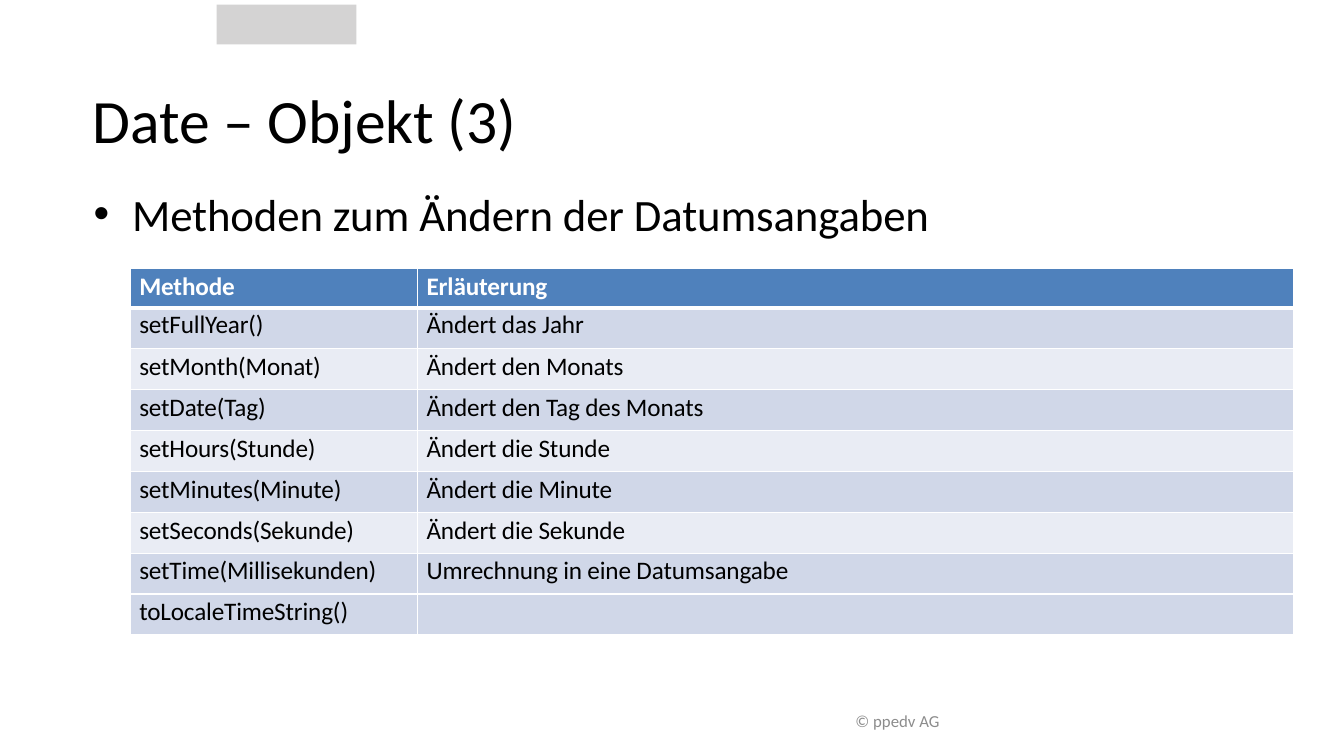
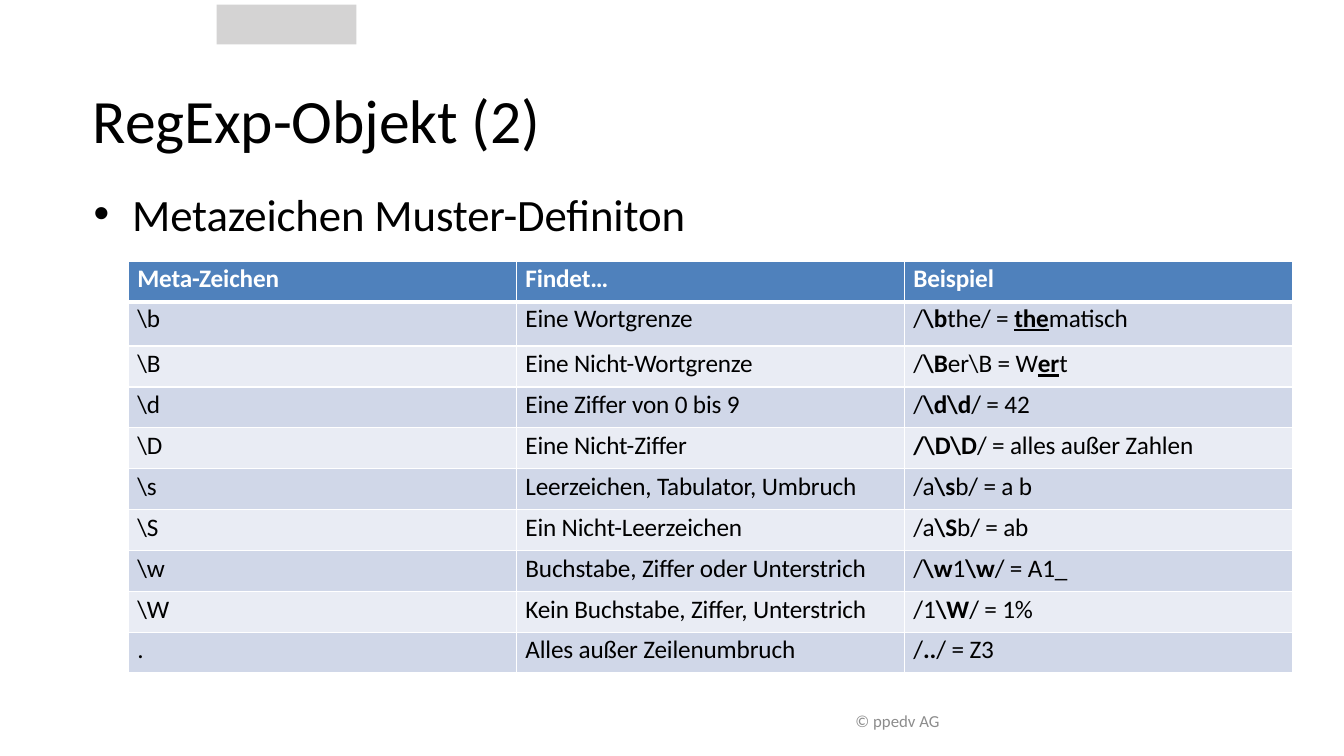
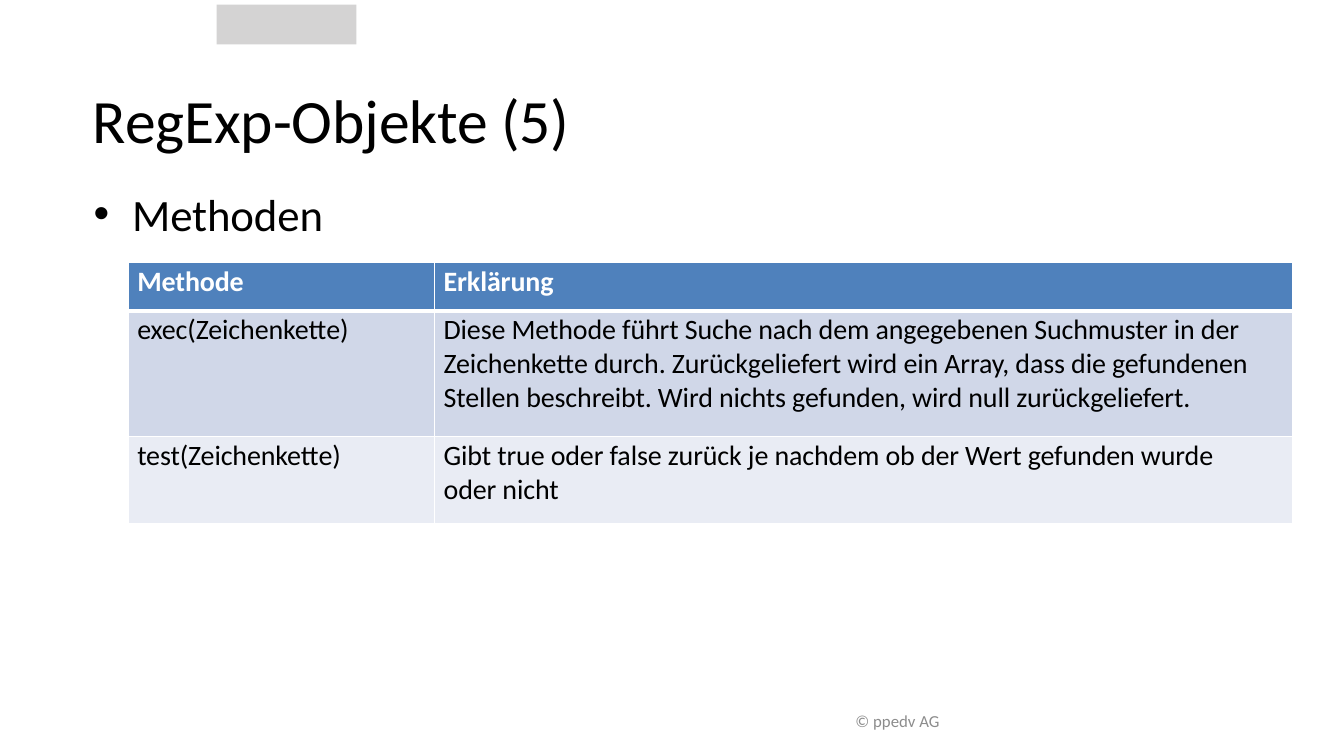
from lxml import etree
from pptx import Presentation
from pptx.dml.color import RGBColor
from pptx.enum.shapes import MSO_SHAPE
from pptx.enum.text import MSO_ANCHOR, PP_ALIGN
from pptx.oxml.ns import qn
from pptx.util import Cm, Pt

RECT = MSO_SHAPE.RECTANGLE
MIDDLE = MSO_ANCHOR.MIDDLE
LEFT, RIGHT = PP_ALIGN.LEFT, PP_ALIGN.RIGHT

FONT = "Calibri"
BLACK, WHITE, GREY, BAND = "000000", "FFFFFF", "8C8C8C", "D4D3D3"
HEAD, DARK, LIGHT = "4F81BC", "D0D7E8", "E9ECF4"
MARGIN = 2.34


def rgb(color):
    return RGBColor.from_string(color)


def write(tf, text, size=18, color=BLACK, bold=False, align=LEFT, bullet=None, spacing=-10):
    """Parts between asterisks are bold; a leading tilde also underlines them."""
    for i, line in enumerate(text.split("\n")):
        p = tf.add_paragraph() if i else tf.paragraphs[0]
        if bullet:
            pPr = p._p.get_or_add_pPr()
            pPr.set("marL", str(Cm(0.99)))
            pPr.set("indent", str(Cm(-0.97)))
            etree.SubElement(pPr, qn("a:buFont")).set("typeface", "Arial")
            etree.SubElement(pPr, qn("a:buChar")).set("char", bullet)
        p.alignment = align
        for j, part in enumerate(line.split("*")):
            if not part:
                continue
            r = p.add_run()
            r.text = part.lstrip("~")
            r.font.name = FONT
            r.font.size = Pt(size)
            r.font.bold = bold or j % 2 == 1
            r.font.color.rgb = rgb(color)
            if part.startswith("~"):
                r.font.underline = True
            if spacing:
                r.font._element.set("spc", str(spacing))


def no_margins(box):
    box.margin_left = box.margin_top = box.margin_right = box.margin_bottom = 0


def border(cell, side, width):
    ln = etree.SubElement(cell._tc.get_or_add_tcPr(), qn("a:ln" + side))
    ln.set("w", str(Pt(width)))
    fill = etree.SubElement(ln, qn("a:solidFill"))
    etree.SubElement(fill, qn("a:srgbClr")).set("val", WHITE)


class Deck:
    def __init__(self):
        self.prs = Presentation()
        self.prs.slide_width = Cm(33.87)
        self.prs.slide_height = Cm(19.05)
        self.s = None

    def slide(self, title, topic, topic_width):
        self.s = self.prs.slides.add_slide(self.prs.slide_layouts[5])
        self.band()
        self.title(title)
        self.topic(topic, topic_width)
        self.footer("© ppedv AG")

    def band(self):
        sp = self.s.shapes.add_shape(RECT, Cm(5.46), Cm(0.12), Cm(3.52), Cm(1))
        sp.shadow.inherit = False
        sp.fill.solid()
        sp.fill.fore_color.rgb = rgb(BAND)
        sp.line.fill.background()

    def title(self, text):
        sp = self.s.shapes.title
        sp.left, sp.top, sp.width, sp.height = Cm(MARGIN), Cm(1.27), Cm(29.21), Cm(3.43)
        tf = sp.text_frame
        no_margins(tf)
        tf.vertical_anchor = MIDDLE
        write(tf, text, size=44)

    def text_box(self, top, width, height):
        tf = self.s.shapes.add_textbox(Cm(MARGIN), Cm(top), Cm(width), Cm(height)).text_frame
        tf.word_wrap = True
        return tf

    def topic(self, text, width):
        tf = self.text_box(4.7, width, 1.45)
        no_margins(tf)
        write(tf, text, size=32, bullet="•")

    def footer(self, text):
        tf = self.text_box(17.66, 21.59, 1.01)
        tf.vertical_anchor = MIDDLE
        write(tf, text, size=12, color=GREY, align=RIGHT, spacing=0)

    def table(self, left, top, widths, heights, rows, size=18, fills=None):
        fills = fills or [HEAD] + [(LIGHT, DARK)[i % 2] for i in range(1, len(rows))]
        table = self.s.shapes.add_table(
            len(rows), len(widths), Cm(left), Cm(top), Cm(sum(widths)), Cm(sum(heights))
        ).table
        table.first_row = table.horz_banding = False
        for column, width in zip(table.columns, widths):
            column.width = Cm(width)
        for i, (row, texts) in enumerate(zip(table.rows, rows)):
            row.height = Cm(heights[i])
            for cell, text in zip(row.cells, texts):
                no_margins(cell)
                cell.margin_left = Cm(0.23)
                cell.margin_top = Cm(0.03 if i == 1 else 0.07)
                for side, width in (("L", 1), ("R", 1), ("T", 3 if i == 1 else 1), ("B", 1 if i else 3)):
                    border(cell, side, width)
                cell.fill.solid()
                cell.fill.fore_color.rgb = rgb(fills[i])
                write(cell.text_frame, text, size=size, color=BLACK if i else WHITE, bold=i == 0)


DATE_METHODS = [
    ("Methode", "Erläuterung"),
    ("setFullYear()", "Ändert das Jahr"),
    ("setMonth(Monat)", "Ändert den Monats"),
    ("setDate(Tag)", "Ändert den Tag des Monats"),
    ("setHours(Stunde)", "Ändert die Stunde"),
    ("setMinutes(Minute)", "Ändert die Minute"),
    ("setSeconds(Sekunde)", "Ändert die Sekunde"),
    ("setTime(Millisekunden)", "Umrechnung in eine Datumsangabe"),
    ("toLocaleTimeString()", ""),
]

META_CHARACTERS = [
    ("Meta-Zeichen", "Findet…", "Beispiel"),
    (r"\b", "Eine Wortgrenze", r"/*\b*the/ = *~the*matisch"),
    (r"\B", "Eine Nicht-Wortgrenze", r"/*\B*er\B = W*~er*t"),
    (r"\d", "Eine Ziffer von 0 bis 9", r"/*\d\d*/ = 42"),
    (r"\D", "Eine Nicht-Ziffer", r"*/\D\D*/ = alles außer Zahlen"),
    (r"\s", "Leerzeichen, Tabulator, Umbruch", r"/a*\s*b/ = a b"),
    (r"\S", "Ein Nicht-Leerzeichen", r"/a*\S*b/ = ab"),
    (r"\w", "Buchstabe, Ziffer oder Unterstrich", r"/*\w*1*\w*/ = A1_"),
    (r"\W", "Kein Buchstabe, Ziffer, Unterstrich", r"/1*\W*/ = 1%"),
    (".", "Alles außer Zeilenumbruch", "/*..*/ = Z3"),
]

REGEXP_METHODS = [
    ("Methode", "Erklärung"),
    (
        "exec(Zeichenkette)",
        "Diese Methode führt Suche nach dem angegebenen Suchmuster in der "
        "Zeichenkette durch. Zurückgeliefert wird ein Array, dass die gefundenen "
        "Stellen beschreibt. Wird nichts gefunden, wird null zurückgeliefert.",
    ),
    (
        "test(Zeichenkette)",
        "Gibt true oder false zurück je nachdem ob der Wert gefunden wurde\noder nicht",
    ),
]


def main():
    deck = Deck()

    deck.slide("Date – Objekt (3)", "Methoden zum Ändern der Datumsangaben", 21.5)
    date_fills = [HEAD] + [DARK, LIGHT] * 3 + [DARK] * 2
    deck.table(3.28, 6.76, [7.24, 22.07], [1] + [1.03] * 8, DATE_METHODS, fills=date_fills)

    deck.slide("RegExp-Objekt (2)", "Metazeichen Muster-Definiton", 15.3)
    deck.table(3.23, 6.58, [9.78] * 3, [1.03, 1.11] + [1.03] * 8, META_CHARACTERS)

    deck.slide("RegExp-Objekte (5)", "Methoden", 5.9)
    deck.table(3.23, 6.6, [7.72, 21.62], [1.24, 3.15, 2.21], REGEXP_METHODS, size=20)

    deck.prs.save("out.pptx")


if __name__ == "__main__":
    main()
